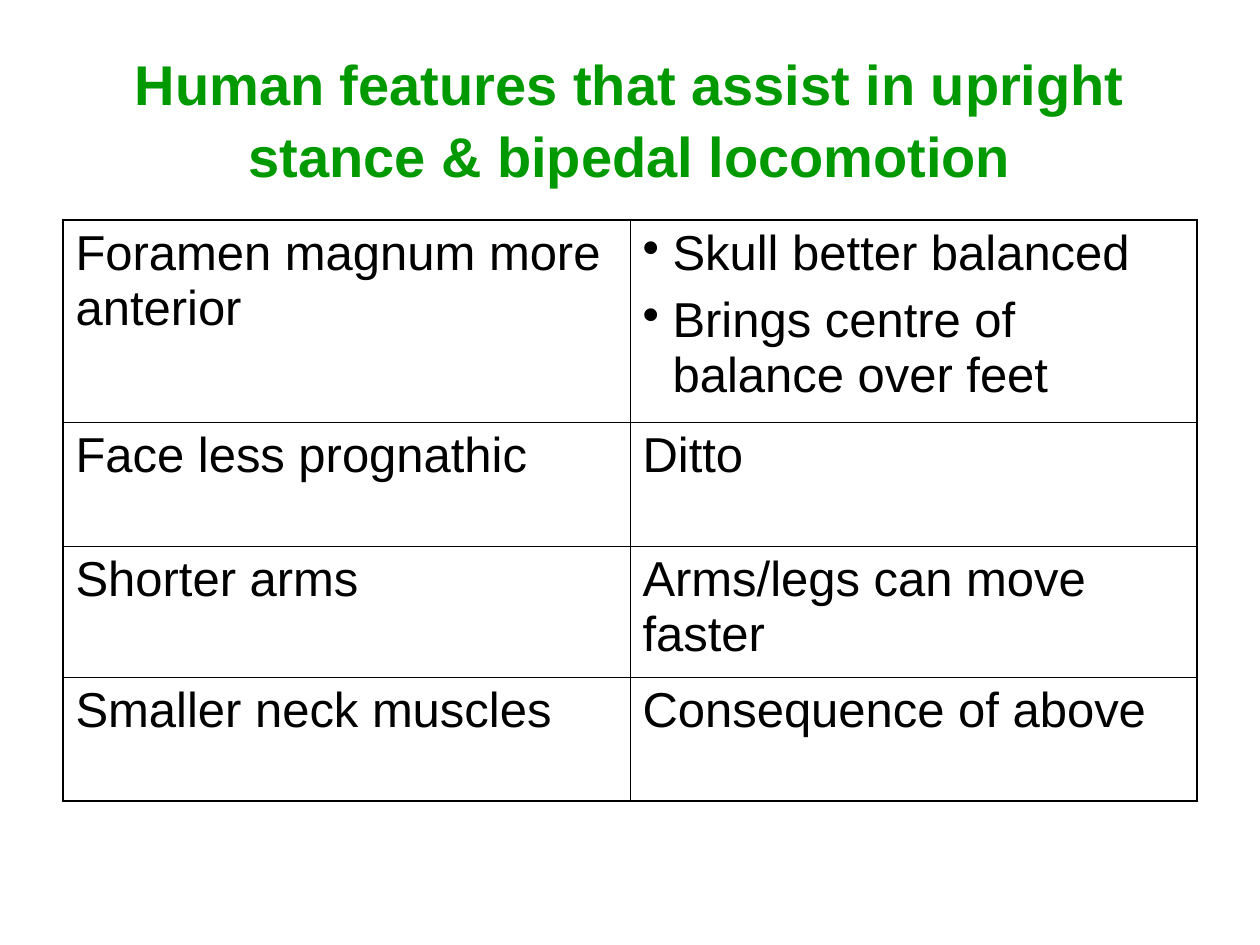
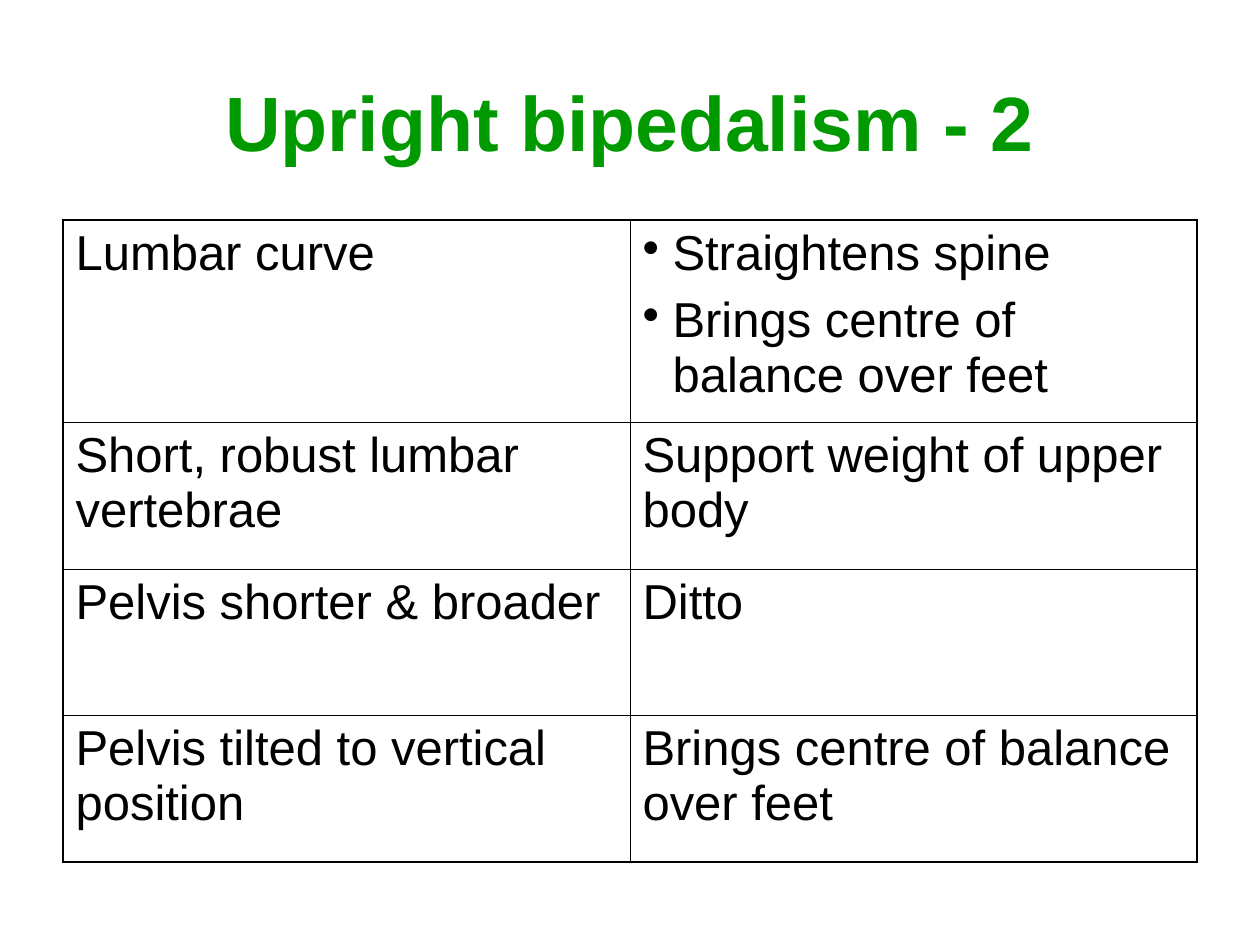
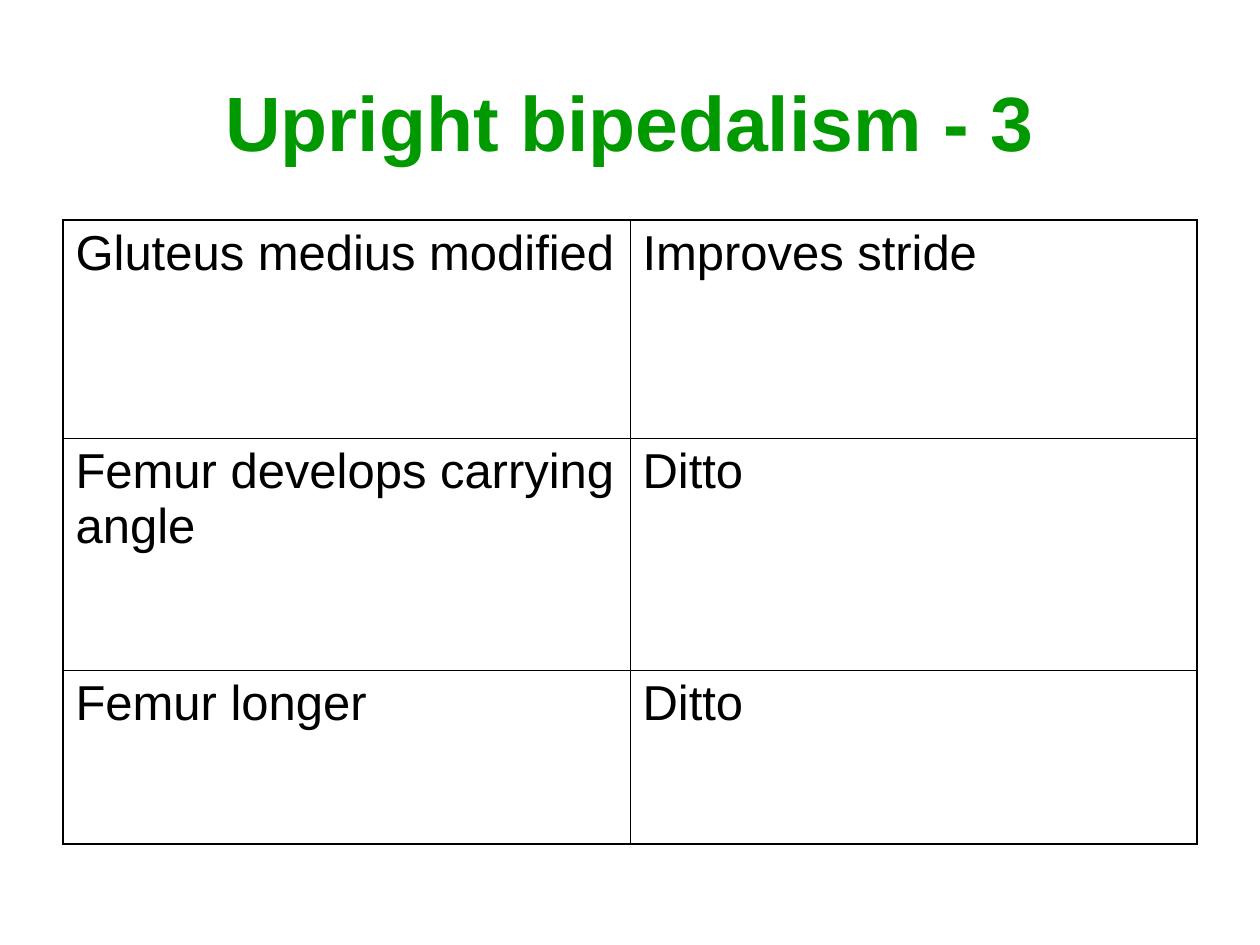
"""Build three slides on human features that assist upright bipedal locomotion."""
from lxml import etree
from pptx import Presentation
from pptx.dml.color import RGBColor
from pptx.enum.text import MSO_ANCHOR, PP_ALIGN
from pptx.oxml.ns import qn
from pptx.util import Pt

PX = 914400 // 126
MID = MSO_ANCHOR.MIDDLE
LEFT, CENTER = PP_ALIGN.LEFT, PP_ALIGN.CENTER
FONT, GREEN, BLACK = "Arial", "009900", "000000"
THICK, THIN = Pt(1.08), Pt(0.45)
SIDE, WIDE, TOP, HEAD = 63, 1134, 220, 38
DENT = 30 * PX


def write(frame, text, size=28, color=BLACK, bold=False, align=LEFT,
          space=None, bullet=False):
    """Fill a text frame, one paragraph for each line of text."""
    frame.word_wrap = True
    for i, line in enumerate(text.split("\n")):
        para = frame.add_paragraph() if i else frame.paragraphs[0]
        if bullet:
            props = para._p.get_or_add_pPr()
            props.set("marL", str(DENT))
            props.set("indent", str(-DENT))
            etree.SubElement(props, qn("a:buChar"), char="•")
        if i:
            para.space_before = Pt(7)
        if space:
            para.line_spacing = space
        para.alignment = align
        run = para.add_run()
        run.text = line
        font = run.font
        font.name, font.size, font.bold = FONT, Pt(size), bold
        font.color.rgb = RGBColor.from_string(color)


def edge(cell, side, width):
    """Draw one border of a table cell."""
    line = etree.SubElement(cell._tc.get_or_add_tcPr(), qn("a:ln" + side),
                            w=str(width))
    fill = etree.SubElement(line, qn("a:solidFill"))
    etree.SubElement(fill, qn("a:srgbClr"), val=BLACK)


PAGES = [
    ("Human features that assist in upright stance & bipedal locomotion", 32, [
        (202, "Foramen magnum more anterior",
         "Skull better balanced\nBrings centre of balance over feet"),
        (124, "Face less prognathic", "Ditto"),
        (131, "Shorter arms", "Arms/legs can move faster"),
        (124, "Smaller neck muscles", "Consequence of above"),
    ]),
    ("Upright bipedalism - 2", 44, [
        (202, "Lumbar curve",
         "Straightens spine\nBrings centre of balance over feet"),
        (147, "Short, robust lumbar vertebrae", "Support weight of upper body"),
        (146, "Pelvis shorter & broader", "Ditto"),
        (147, "Pelvis tilted to vertical position",
         "Brings centre of balance over feet"),
    ]),
    ("Upright bipedalism - 3", 44, [
        (218, "Gluteus medius modified", "Improves stride"),
        (232, "Femur develops carrying angle", "Ditto"),
        (174, "Femur longer", "Ditto"),
    ]),
]

deck = Presentation()
deck.slide_width, deck.slide_height = 1260 * PX, 945 * PX

for title, size, rows in PAGES:
    slide = deck.slides.add_slide(deck.slide_layouts[6])
    box = slide.shapes.add_textbox(SIDE * PX, HEAD * PX, WIDE * PX, 157 * PX)
    box.text_frame.vertical_anchor = MID
    write(box.text_frame, title, size=size, color=GREEN, bold=True,
          align=CENTER, space=1.08)

    high = sum(row[0] for row in rows)
    table = slide.shapes.add_table(len(rows), 2, SIDE * PX, TOP * PX,
                                   WIDE * PX, high * PX).table
    table.first_row = table.horz_banding = False
    last = len(rows) - 1
    for r, (tall, *texts) in enumerate(rows):
        table.rows[r].height = tall * PX
        for c, text in enumerate(texts):
            cell = table.cell(r, c)
            write(cell.text_frame, text, bullet="\n" in text)
            outer = {"L": c == 0, "R": c == 1, "T": r == 0, "B": r == last}
            for side, rim in outer.items():
                edge(cell, side, THICK if rim else THIN)
            cell.fill.background()

deck.save("out.pptx")
